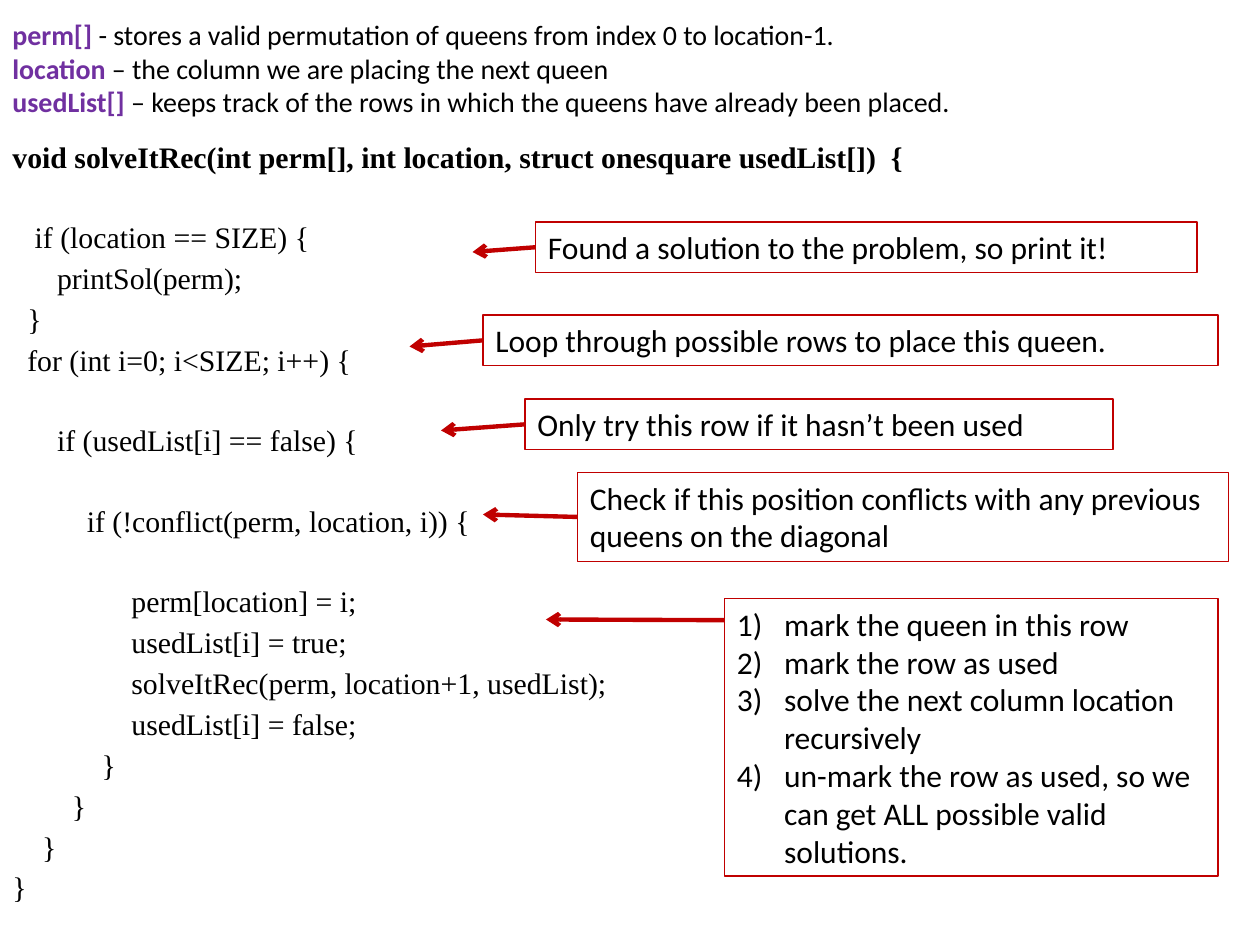
import dataclasses

import lxml.etree
import pptx
import pptx.dml.color
import pptx.enum.shapes
import pptx.enum.text
import pptx.oxml.ns
import pptx.util

Pt = pptx.util.Pt
LEFT_SIDE = 1


@dataclasses.dataclass
class Theme:
    black: str = "000000"
    white: str = "FFFFFF"
    purple: str = "7030A0"
    red: str = "C00000"
    code_font: str = "Times New Roman"
    note_font: str = "Calibri"
    code_size: float = 17
    legend_size: float = 16
    note_size: float = 18
    code_spacing: float = 0.9
    code_gap: float = 5
    code_pitch: float = 22.6
    space_width: float = 4.25
    list_indent: float = 27


class SlideWriter:
    def __init__(self, slide, theme):
        self.slide = slide
        self.theme = theme

    def color(self, value):
        return pptx.dml.color.RGBColor.from_string(value)

    def add_run(self, para, text, font, size, color=None, bold=False):
        span = para.add_run()
        span.text = text
        span.font.name = font
        span.font.size = Pt(size)
        span.font.bold = bold
        span.font.color.rgb = self.color(color or self.theme.black)

    def paragraphs(self, box, items):
        frame = box.text_frame
        for index, item in enumerate(items):
            para = frame.add_paragraph() if index else frame.paragraphs[0]
            para.alignment = pptx.enum.text.PP_ALIGN.LEFT
            yield para, item

    def add_box(self, left, top, width, height, fill=None, line=None):
        box = self.slide.shapes.add_shape(
            pptx.enum.shapes.MSO_SHAPE.RECTANGLE, Pt(left), Pt(top), Pt(width), Pt(height))
        box.shadow.inherit = False
        if fill:
            box.fill.solid()
            box.fill.fore_color.rgb = self.color(fill)
        else:
            box.fill.background()
        if line:
            box.line.color.rgb = self.color(line)
            box.line.width = Pt(0.75)
        else:
            box.line.fill.background()
        box.text_frame.word_wrap = True
        box.text_frame.vertical_anchor = pptx.enum.text.MSO_ANCHOR.TOP
        return box

    def add_code(self, left, top, width, height, lines):
        theme = self.theme
        box = self.add_box(left, top, width, height, fill=theme.white)
        for para, (indent, gaps, text) in self.paragraphs(box, lines):
            para.line_spacing = theme.code_spacing
            para.space_before = Pt(theme.code_gap + gaps * theme.code_pitch)
            properties = para._p.get_or_add_pPr()
            properties.set("marL", str(Pt(indent * theme.space_width)))
            self.add_run(para, text, theme.code_font, theme.code_size,
                         bold=text.startswith("void"))

    def add_legend(self, left, top, width, height, entries):
        theme = self.theme
        box = self.slide.shapes.add_textbox(Pt(left), Pt(top), Pt(width), Pt(height))
        box.text_frame.word_wrap = True
        for para, (name, meaning) in self.paragraphs(box, entries):
            self.add_run(para, name, theme.note_font, theme.legend_size, theme.purple, True)
            self.add_run(para, meaning, theme.note_font, theme.legend_size)

    def add_note(self, left, top, width, height, texts):
        theme = self.theme
        box = self.add_box(left, top, width, height, line=theme.red)
        box.text_frame.auto_size = pptx.enum.text.MSO_AUTO_SIZE.SHAPE_TO_FIT_TEXT
        for para, text in self.paragraphs(box, texts):
            if len(texts) > 1:
                self.number(para)
            self.add_run(para, text, theme.note_font, theme.note_size)
        return box

    def number(self, para):
        indent = Pt(self.theme.list_indent)
        properties = para._p.get_or_add_pPr()
        properties.set("marL", str(indent))
        properties.set("indent", str(-indent))
        lxml.etree.SubElement(properties, pptx.oxml.ns.qn("a:buFont"), typeface="+mj-lt")
        lxml.etree.SubElement(properties, pptx.oxml.ns.qn("a:buAutoNum"), type="arabicParenR")

    def add_arrow(self, start, end, box=None):
        arrow = self.slide.shapes.add_connector(
            pptx.enum.shapes.MSO_CONNECTOR.STRAIGHT, *(Pt(value) for value in start + end))
        if box is not None:
            arrow.begin_connect(box, LEFT_SIDE)
        arrow.line.color.rgb = self.color(self.theme.red)
        arrow.line.width = Pt(2.5)
        lxml.etree.SubElement(arrow.line._get_or_add_ln(),
                              pptx.oxml.ns.qn("a:tailEnd"), type="arrow")
        lxml.etree.SubElement(arrow._element.spPr, pptx.oxml.ns.qn("a:effectLst"))


LEGEND = [
    ("perm[] ", "- stores a valid permutation of queens from index 0 to location-1."),
    ("location", " – the column we are placing the next queen"),
    ("usedList[] ", "– keeps track of the rows in which the queens have already been placed."),
]

CODE = [
    (0, 0, "void solveItRec(int perm[], int location, struct onesquare usedList[])  {"),
    (3, 1, "if (location == SIZE) {"),
    (6, 0, "printSol(perm);"),
    (2, 0, "}"),
    (2, 0, "for (int i=0; i<SIZE; i++) {"),
    (6, 1, "if (usedList[i] == false) {"),
    (10, 1, "if (!conflict(perm, location, i)) {"),
    (16, 1, "perm[location] = i;"),
    (16, 0, "usedList[i] = true;"),
    (16, 0, "solveItRec(perm, location+1, usedList);"),
    (16, 0, "usedList[i] = false;"),
    (12, 0, "}"),
    (8, 0, "}"),
    (4, 0, "}"),
    (0, 0, "}"),
]

NOTES = [
    ((306, 126.8, 378, 29), (270, 144), ["Found a solution to the problem, so print it!"]),
    ((276, 180, 420, 29), (234, 198), ["Loop through possible rows to place this queen."]),
    ((300, 228, 336, 29), (252, 246), ["Only try this row if it hasn’t been used"]),
    ((330, 270, 372, 50.8), (276, 294),
     ["Check if this position conflicts with any previous queens on the diagonal"]),
]

STEPS = [
    "mark the queen in this row",
    "mark the row as used",
    "solve the next column location recursively",
    "un-mark the row as used, so we can get ALL possible valid solutions.",
]


def main():
    deck = pptx.Presentation()
    deck.slide_width, deck.slide_height = Pt(720), Pt(540)
    page = deck.slides.add_slide(deck.slide_layouts[6])
    writer = SlideWriter(page, Theme())
    writer.add_code(0, 78, 564, 462, CODE)
    writer.add_legend(0, 6.5, 660, 65, LEGEND)
    for place, target, texts in NOTES:
        note = writer.add_note(*place, texts)
        writer.add_arrow(place[:2], target, note)
    writer.add_note(414, 342, 282, 158.6, STEPS)
    writer.add_arrow((414, 354.4), (312, 354))
    deck.save("out.pptx")


if __name__ == "__main__":
    main()
